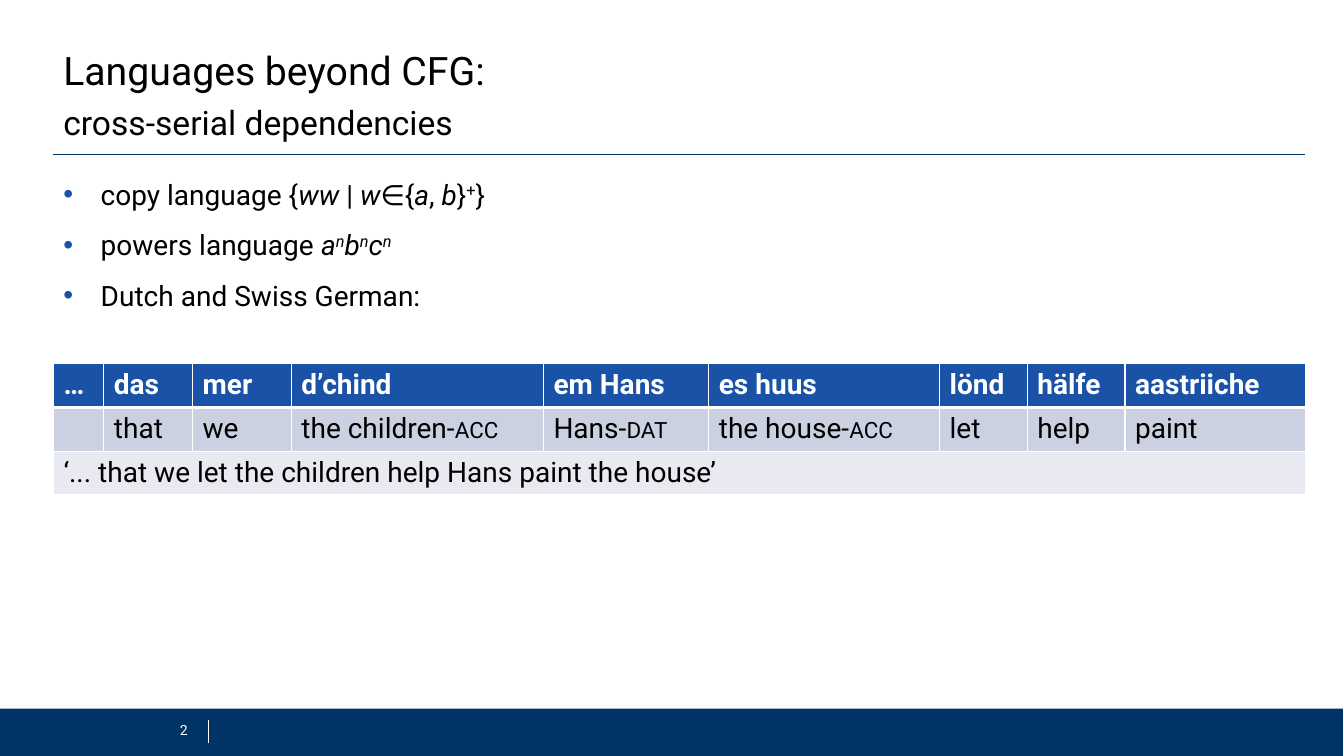
import pptx
import pptx.dml.color
import pptx.enum.shapes
import pptx.enum.text
import pptx.oxml
import pptx.oxml.ns
import pptx.util
from dataclasses import dataclass

Inches = pptx.util.Inches
Pt = pptx.util.Pt
ALIGN = pptx.enum.text.PP_ALIGN
ANCHOR = pptx.enum.text.MSO_ANCHOR


@dataclass(frozen=True)
class Theme:
    font: str = "Roboto"
    text: str = "000000"
    white: str = "FFFFFF"
    navy: str = "003366"
    blue: str = "1952A6"
    row: str = "CCD1E1"
    translation: str = "E8E9F1"
    title_size: int = 28
    subtitle_size: int = 24
    body_size: int = 20
    number_size: int = 10


THEME = Theme()
LEFT, WIDTH = 0.53, 12.41
BULLETS = [
    [("copy language {", ""), ("ww", "italic"), (" | ", ""), ("w", "italic"),
     ("∈{", ""), ("a", "italic"), (", ", ""), ("b", "italic"), ("}", ""),
     ("+", "super"), ("}", "")],
    [("powers language ", "")]
    + [part for letter in "abc"
       for part in ((letter, "italic"), ("n", "italic super"))],
    [("Dutch and Swiss German:", "")],
]
COLUMN_WIDTHS = [0.5, 0.88, 0.98, 2.5, 1.64, 2.29, 0.87, 0.97, 1.79]
ROW_HEIGHT = 0.41
WORDS = ["…", "das", "mer", "d’chind", "em Hans", "es huus", "lönd", "hälfe", "aastriiche"]
GLOSSES = [("",), ("that",), ("we",), ("the children-", "acc"), ("Hans-", "dat"),
           ("the house-", "acc"), ("let",), ("help",), ("paint",)]
TRANSLATION = "‘... that we let the children help Hans paint the house’"


def rgb(color):
    return pptx.dml.color.RGBColor.from_string(color)


def xml(tag, attributes="", content=""):
    namespace = pptx.oxml.ns.nsdecls("a")
    return pptx.oxml.parse_xml(f"<a:{tag} {namespace} {attributes}>{content}</a:{tag}>")


def add_run(paragraph, text, size, color=THEME.text, style=""):
    run = paragraph.add_run()
    run.text = text
    run.font.name = THEME.font
    run.font.size = Pt(size)
    run.font.color.rgb = rgb(color)
    run.font.bold = "bold" in style
    run.font.italic = "italic" in style
    properties = run._r.get_or_add_rPr()
    if "super" in style:
        properties.set("baseline", "30000")
    if "caps" in style:
        properties.set("cap", "small")


def add_text_box(slide, left, top, width, height, anchor=ANCHOR.TOP):
    box = slide.shapes.add_textbox(Inches(left), Inches(top), Inches(width), Inches(height))
    box.text_frame.word_wrap = True
    box.text_frame.vertical_anchor = anchor
    return box.text_frame


def add_heading(slide, top, height, text, size, anchor):
    paragraph = add_text_box(slide, LEFT, top, WIDTH, height, anchor).paragraphs[0]
    paragraph.line_spacing = 0.9
    add_run(paragraph, text, size)


def add_bullets(slide, top, height):
    frame = add_text_box(slide, LEFT, top, WIDTH, height)
    for index, parts in enumerate(BULLETS):
        paragraph = frame.add_paragraph() if index else frame.paragraphs[0]
        paragraph.space_before = paragraph.space_after = Pt(6)
        properties = paragraph._p.get_or_add_pPr()
        properties.set("marL", str(Inches(0.37)))
        properties.set("indent", str(Inches(-0.37)))
        properties.append(xml("buClr", content=f'<a:srgbClr val="{THEME.blue}"/>'))
        properties.append(xml("buFont", 'typeface="Arial"'))
        properties.append(xml("buChar", 'char="•"'))
        for text, style in parts:
            add_run(paragraph, text, THEME.body_size, style=style)


def add_line(slide, start, end, color, width):
    line = slide.shapes.add_connector(
        pptx.enum.shapes.MSO_CONNECTOR.STRAIGHT, *map(Inches, start + end))
    line.line.color.rgb = rgb(color)
    line.line.width = Pt(width)
    line._element.spPr.append(xml("effectLst"))


def add_bar(slide, left, top, width, height, color):
    shape = slide.shapes.add_shape(
        pptx.enum.shapes.MSO_SHAPE.RECTANGLE, *map(Inches, (left, top, width, height)))
    shape.shadow.inherit = False
    shape.fill.solid()
    shape.fill.fore_color.rgb = rgb(color)
    shape.line.fill.background()


def format_cell(cell, fill, top_border=1, bottom_border=1):
    cell.fill.solid()
    cell.fill.fore_color.rgb = rgb(fill)
    properties = cell._tc.get_or_add_tcPr()
    borders = {"lnL": 1, "lnR": 1, "lnT": top_border, "lnB": bottom_border}
    for index, (tag, width) in enumerate(borders.items()):
        color = f'<a:solidFill><a:srgbClr val="{THEME.white}"/></a:solidFill>'
        properties.insert(index, xml(tag, f'w="{Pt(width)}"', color))


def add_gloss_table(slide, top):
    table = slide.shapes.add_table(
        3, len(WORDS), Inches(LEFT), Inches(top), Inches(WIDTH), Inches(3 * ROW_HEIGHT)).table
    table.horz_banding = False
    for row in table.rows:
        row.height = Inches(ROW_HEIGHT)
    for index, (width, word, gloss) in enumerate(zip(COLUMN_WIDTHS, WORDS, GLOSSES)):
        table.columns[index].width = Inches(width)
        header, meaning, translation = (table.cell(row, index) for row in range(3))
        format_cell(header, THEME.blue, bottom_border=3)
        format_cell(meaning, THEME.row, top_border=3)
        format_cell(translation, THEME.translation)
        add_run(header.text_frame.paragraphs[0], word, THEME.body_size, THEME.white, "bold")
        for text, style in zip(gloss, ("", "caps")):
            if text:
                add_run(meaning.text_frame.paragraphs[0], text, THEME.body_size, style=style)
    table.cell(2, 0).merge(table.cell(2, len(WORDS) - 1))
    add_run(table.cell(2, 0).text_frame.paragraphs[0], TRANSLATION, THEME.body_size)


def add_slide_number(slide, text):
    paragraph = add_text_box(slide, 1.51, 7.04, 0.45, 0.4, ANCHOR.MIDDLE).paragraphs[0]
    paragraph.alignment = ALIGN.RIGHT
    add_run(paragraph, text, THEME.number_size, THEME.white)


def main():
    presentation = pptx.Presentation()
    presentation.slide_width = Inches(13.33)
    presentation.slide_height = Inches(7.5)
    slide = presentation.slides.add_slide(presentation.slide_layouts[6])
    add_bar(slide, 0, 7.03, 13.32, 0.47, THEME.navy)
    add_line(slide, (2.06, 7.14), (2.06, 7.37), THEME.white, 0.25)
    add_line(slide, (LEFT, 1.53), (LEFT + WIDTH, 1.53), THEME.navy, 1)
    add_heading(slide, 0.45, 0.55, "Languages beyond CFG:", THEME.title_size, ANCHOR.MIDDLE)
    add_heading(slide, 1.01, 0.39, "cross-serial dependencies", THEME.subtitle_size, ANCHOR.TOP)
    add_bullets(slide, 1.71, 5.1)
    add_slide_number(slide, "2")
    add_gloss_table(slide, 3.61)
    presentation.save("out.pptx")


if __name__ == "__main__":
    main()
